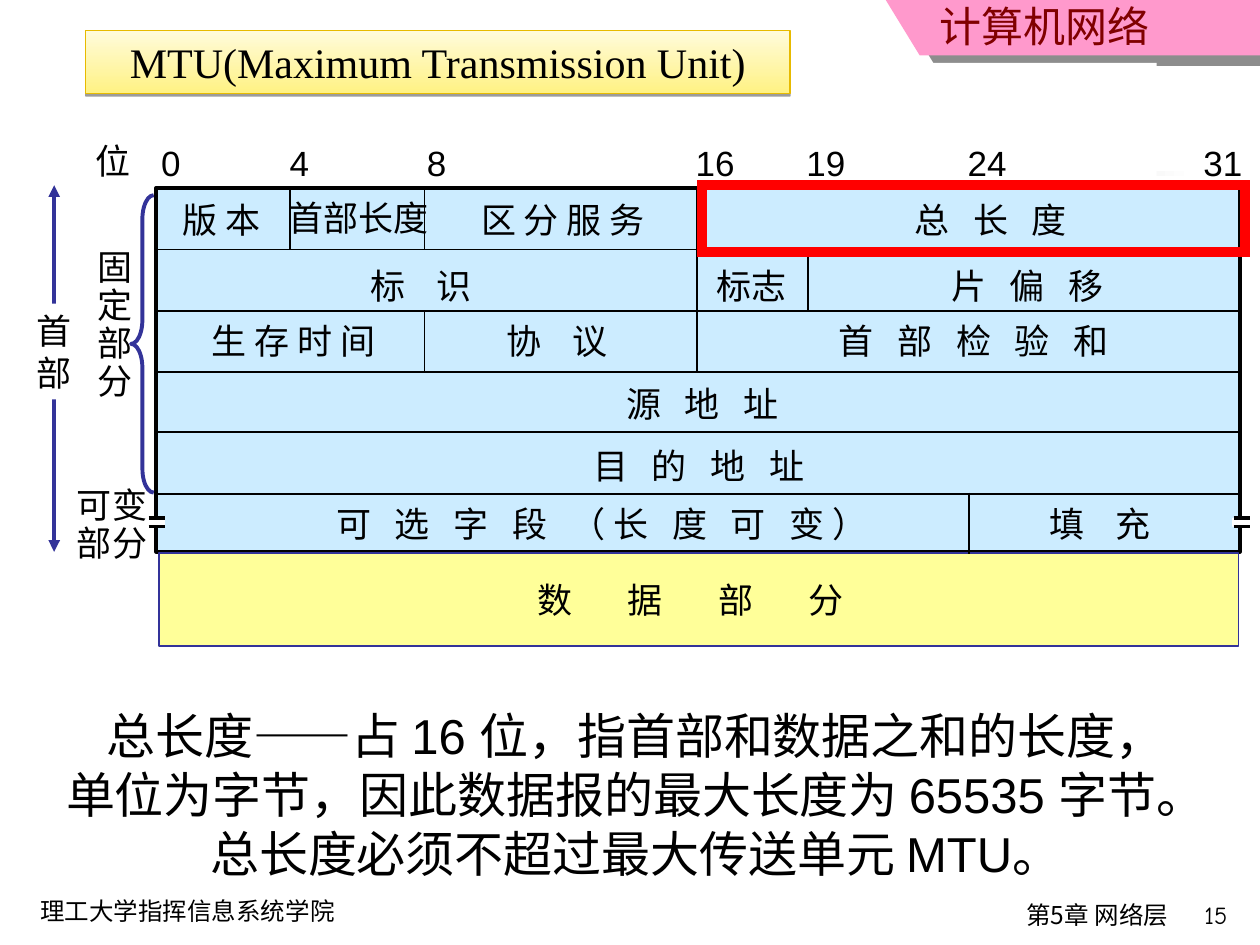
from lxml import etree
from pptx import Presentation
from pptx.dml.color import RGBColor
from pptx.enum import shapes, text
from pptx.oxml import ns
from pptx.util import Inches, Pt

COLORS = {
    "black": "000000", "white": "FFFFFF", "dark": "1C1C1C", "pink": "FF99CC",
    "maroon": "800000", "navy": "333399", "sky": "CCECFF", "yellow": "FFFF99",
    "red": "FF0000", "gold": "E7BA00", "cream": "FFFBDC", "lemon": "FFF284",
}
RGB = {name: RGBColor.from_string(value) for name, value in COLORS.items()}
LEFT, CENTER, RIGHT = text.PP_ALIGN.LEFT, text.PP_ALIGN.CENTER, text.PP_ALIGN.RIGHT
RECT = shapes.MSO_SHAPE.RECTANGLE

prs = Presentation()
prs.slide_width, prs.slide_height = Inches(10), Inches(7.5)
s = prs.slides.add_slide(prs.slide_layouts[6])


def add_shape(box, fill=None, line=None, width=1, kind=RECT):
    sp = s.shapes.add_shape(kind, *map(Inches, box))
    sp.shadow.inherit = False
    if fill:
        sp.fill.solid()
        sp.fill.fore_color.rgb = RGB[fill]
    else:
        sp.fill.background()
    if line:
        sp.line.color.rgb = RGB[line]
        sp.line.width = Pt(width)
    else:
        sp.line.fill.background()
    return sp


def add_text(box, words, size=20, font="Arial", color="black", align=CENTER,
             wrap=False, top=0.05, spacing=None, gap=1, sp=None):
    sp = sp or s.shapes.add_textbox(*map(Inches, box))
    tf = sp.text_frame
    tf.text = words
    tf.word_wrap = wrap
    tf.vertical_anchor = text.MSO_ANCHOR.TOP
    tf.margin_top = Inches(top)
    if gap > 1:
        tf.margin_right = 0
    for p in tf.paragraphs:
        p.alignment = align
        p.line_spacing = spacing
        for r in p.runs:
            r.font.size = Pt(size)
            r.font.name = font
            r.font.color.rgb = RGB[color]
            rPr = r.font._element
            etree.SubElement(rPr, ns.qn("a:ea")).set("typeface", "Noto Sans CJK SC")
            if gap > 1:
                rPr.set("spc", str(225 * (gap - 1)))
    return sp


rule = add_shape((0.48, 1.36, 9, 0.04), "dark")
rule.fill.gradient()
rule.fill.gradient_angle = 0
for stop, name in zip(rule.fill.gradient_stops, ("dark", "white")):
    stop.color.rgb = RGB[name]

add_text((0.22, 7.06, 3.11, 0.34), "理工大学指挥信息系统学院", 14, "Comic Neue",
         align=LEFT, wrap=True)

fb = s.shapes.build_freeform(Inches(7.03), 0)
fb.add_line_segments([(Inches(x), Inches(y)) for x, y in ((7.3, 0.44), (10, 0.44), (10, 0))])
banner = fb.convert_to_shape()
banner.fill.solid()
banner.fill.fore_color.rgb = RGB["pink"]
banner.line.fill.background()
add_text((5.82, 0, 3.4, 0.45), "计算机网络", 24, "Noto Sans CJK SC", "maroon",
         RIGHT, True, top=0)
add_shape((0.12, 0.5, 9.06, 1.26), "white")
add_text((4.29, 7.09, 5.08, 0.41), "第5章 网络层", 14, "Noto Sans CJK SC",
         align=RIGHT, wrap=True)
add_text((9.05, 7.09, 0.79, 0.38), "15", 14, "Comic Neue", align=RIGHT, wrap=True)

add_shape((1.24, 1.49, 8.6, 2.89), "sky", "black", 2)
add_shape((1.26, 4.39, 8.57, 0.74), "yellow", "navy")

segments = [(0.43, 1.47, 0.43, 4.38, "navy", 2.25)]
for y in (1.98, 2.47, 2.95, 3.43, 3.92):
    segments.append((1.24, y, 9.85, y, "black", 1))
for x, y1, y2 in ((2.3, 1.5, 1.98), (3.37, 1.5, 1.98), (3.37, 2.48, 2.95),
                  (5.53, 1.5, 2.95), (7.69, 3.91, 4.4), (6.41, 1.99, 2.47)):
    segments.append((x, y1, x, y2, "black", 1))
for x in (1.18, 9.79):
    add_shape((x - 0.01, 4.11, 0.14, 0.07), "white")
    for y in (4.11, 4.18):
        segments.append((x, y, x + 0.13, y, "black", 2))
for x1, y1, x2, y2, color, width in segments:
    line = s.shapes.add_connector(shapes.MSO_CONNECTOR.STRAIGHT,
                                  *map(Inches, (x1, y1, x2, y2)))
    line.line.color.rgb = RGB[color]
    line.line.width = Pt(width)
    if color == "navy":
        ln = line.line._get_or_add_ln()
        for end in ("a:headEnd", "a:tailEnd"):
            etree.SubElement(ln, ns.qn(end)).set("type", "triangle")
    etree.SubElement(line._element.spPr, ns.qn("a:effectLst"))

header_box = (0.19, 2.41, 0.48, 0.76)
add_text(header_box, "首\n部", sp=add_shape(header_box, "white"))

for x, bit in ((1.18, "0"), (2.2, "4"), (3.29, "8"), (5.42, "16"),
               (6.3, "19"), (7.58, "24"), (9.45, "31")):
    add_text((x, 1.07, 0.35 if len(bit) == 1 else 0.51, 0.43), bit)

fields = [
    (1.35, 1.53, 0.82, "版 本", 1), (2.19, 1.51, 1.31, "首部长度", 1),
    (3.72, 1.53, 1.5, "区 分 服 务", 1), (7.16, 1.53, 1.45, "总 长 度", 3),
    (2.84, 2.05, 1.05, "标 识", 4), (5.59, 2.05, 0.76, "标志", 1),
    (7.45, 2.05, 1.45, "片 偏 移", 3), (1.58, 2.49, 1.5, "生 存 时 间", 1),
    (3.92, 2.49, 1.05, "协 议", 4), (6.56, 2.49, 2.4, "首 部 检 验 和", 3),
    (4.87, 2.99, 1.45, "源 地 址", 3), (4.61, 3.48, 1.93, "目 的 地 址", 3),
    (2.57, 3.94, 4.5, "可 选 字 段 （长 度 可 变）", 3), (8.23, 3.94, 1.05, "填 充", 4),
    (4.17, 4.54, 3.18, "数 据 部 分", 7), (0.66, 1.06, 0.48, "位", 1),
]
for x, y, width, label, gap in fields:
    add_text((x, y, width, 0.43), label, align=LEFT, wrap=gap > 1, gap=gap)

add_text((0.67, 1.94, 0.48, 1.3), "固\n定\n部\n分", spacing=0.9)
add_text((0.51, 3.83, 0.76, 0.7), "可变\n部分", spacing=0.9)
add_text((0.33, 5.55, 9.43, 1.5),
         "总长度——占 16 位，指首部和数据之和的长度，\n"
         "单位为字节，因此数据报的最大长度为 65535 字节。\n"
         "总长度必须不超过最大传送单元 MTU。", 28)
frame = add_shape((5.57, 1.47, 4.31, 0.53), line="red", width=6)
etree.SubElement(frame.line._get_or_add_ln(), ns.qn("a:miter")).set("lim", "800000")

brace = add_shape((1.04, 1.55, 0.18, 2.36), line="navy", width=2.25,
                  kind=shapes.MSO_SHAPE.LEFT_BRACE)
brace.adjustments[0] = 1.05

title_box = (0.68, 0.24, 5.59, 0.5)
title = add_shape(title_box, "cream", "gold", 0.75)
title.fill.gradient()
title.fill.gradient_angle = 90
for stop, name in zip(title.fill.gradient_stops, ("lemon", "cream")):
    stop.color.rgb = RGB[name]
add_text(title_box, "MTU(Maximum Transmission Unit)", 24, "Times New Roman",
         wrap=True, sp=title)

for sp, color, alpha, distance, angle in ((banner, "dark", 50, 10.8, 34),
                                          (title, "black", 38, 1.6, 90)):
    sp.shadow.inherit = False
    effects = sp._element.spPr.find(ns.qn("a:effectLst"))
    shadow = etree.SubElement(effects, ns.qn("a:outerShdw"), dist=str(Pt(distance)),
                              dir=str(angle * 60000), algn="ctr", rotWithShape="0")
    tint = etree.SubElement(shadow, ns.qn("a:srgbClr"), val=COLORS[color])
    etree.SubElement(tint, ns.qn("a:alpha"), val=str(alpha * 1000))

prs.save("out.pptx")
